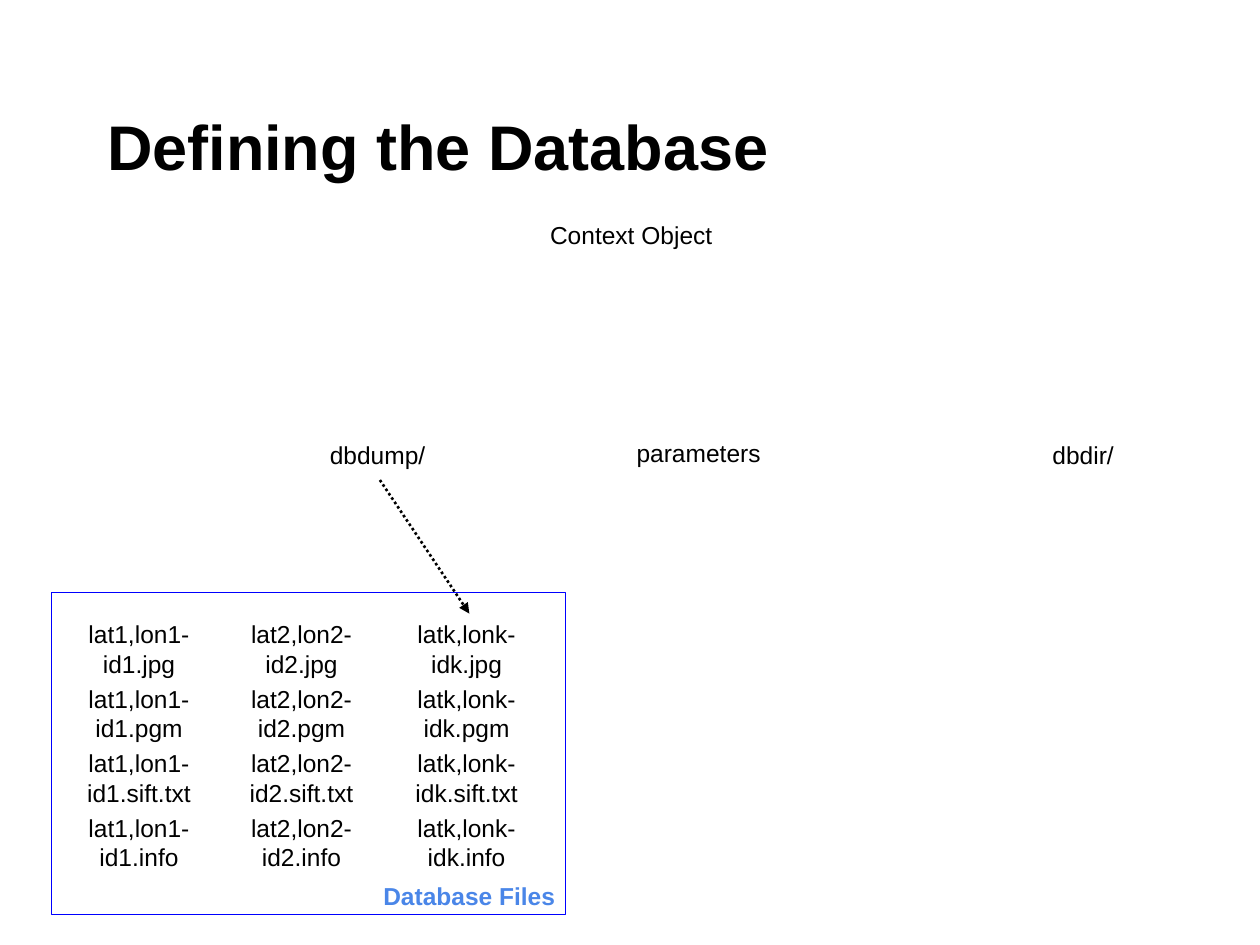
"""Build the slide that defines the database and its files."""
from typing import NamedTuple

from pptx import Presentation
from pptx.dml.color import RGBColor
from pptx.enum import dml, shapes, text
from pptx.oxml import ns, xmlchemy
from pptx.util import Pt

KIND = shapes.MSO_SHAPE
ALIGN = text.PP_ALIGN
ANCHOR = text.MSO_ANCHOR
INSET = 7.2
CARD_WIDTH, CARD_HEIGHT = 77.04, 36.9
CARD_TOP = 350.64
COLUMNS = {"lat1,lon1-id1": 42.48, "lat2,lon2-id2": 135.36, "latk,lonk-idk": 229.68}
ENDINGS = ("jpg", "pgm", "sift.txt", "info")


class Node(NamedTuple):
    label: str
    left: float
    top: float
    width: float
    height: float
    kind: KIND | None = KIND.SNIP_1_RECTANGLE
    color: str = "000000"
    bold: bool = False


def hex_color(value: str) -> RGBColor:
    """Turn a hex string into a colour."""
    return RGBColor.from_string(value)


def apply_format(target, values: dict) -> None:
    """Set each named attribute on the target."""
    for name, value in values.items():
        setattr(target, name, value)


def write_text(box, label: str, size: float, color: str, bold: bool,
               align: ALIGN, anchor: ANCHOR):
    """Write one formatted paragraph and return it."""
    frame = box.text_frame
    margins = {f"margin_{side}": Pt(INSET) for side in ("left", "top", "right", "bottom")}
    apply_format(frame, margins | {"word_wrap": True, "vertical_anchor": anchor,
                                   "auto_size": text.MSO_AUTO_SIZE.NONE})
    para = frame.paragraphs[0]
    para.alignment = align
    span = para.add_run()
    span.text = label
    apply_format(span.font, {"name": "Arial", "size": Pt(size), "bold": bold})
    span.font.color.rgb = hex_color(color)
    return para


def draw_node(page, node: Node):
    """Draw a centred label, with an unfilled outline shape if it has a kind."""
    place = [Pt(value) for value in node[1:5]]
    if node.kind is None:
        box = page.shapes.add_textbox(*place)
    else:
        box = page.shapes.add_shape(node.kind, *place)
        box.shadow.inherit = False
        box.fill.background()
        box.line.fill.background()
    if node.label:
        write_text(box, node.label, 14, node.color, node.bold, ALIGN.CENTER, ANCHOR.MIDDLE)
    return box


def draw_title(page, label: str) -> None:
    """Place and fill the title placeholder."""
    title = page.shapes.title
    apply_format(title, {"left": Pt(36), "top": Pt(21.6), "width": Pt(648), "height": Pt(90)})
    para = write_text(title, label, 36, "000000", True, ALIGN.LEFT, ANCHOR.BOTTOM)
    apply_format(para, {"line_spacing": 1.0, "space_before": Pt(0)})
    para._p.get_or_add_pPr().set("indent", str(Pt(18)))


def draw_arrow(page, start, end) -> None:
    """Join two shapes, bottom to top, with a dotted arrow."""
    arrow = page.shapes.add_connector(shapes.MSO_CONNECTOR.STRAIGHT, 0, 0, 0, 0)
    arrow.begin_connect(start, 2)
    arrow.end_connect(end, 0)
    apply_format(arrow.line, {"width": Pt(1.5), "dash_style": dml.MSO_LINE.ROUND_DOT})
    arrow.line.color.rgb = hex_color("000000")
    head = xmlchemy.OxmlElement("a:tailEnd")
    head.set("type", "triangle")
    arrow.line._get_or_add_ln().append(head)
    properties = arrow._element.find(ns.qn("p:spPr"))
    properties.append(xmlchemy.OxmlElement("a:effectLst"))


def main() -> None:
    """Create the deck with its single page."""
    deck = Presentation()
    apply_format(deck, {"slide_width": Pt(720), "slide_height": Pt(540)})
    page = deck.slides.add_slide(deck.slide_layouts[5])
    draw_title(page, "Defining the Database")

    cards = {}
    for stem, left in COLUMNS.items():
        for row, ending in enumerate(ENDINGS):
            name = f"{stem}.{ending}"
            top = CARD_TOP + row * CARD_HEIGHT
            cards[name] = draw_node(page, Node(name, left, top, CARD_WIDTH, CARD_HEIGHT))

    border = draw_node(page, Node("", 29.52, 338.4, 293.76, 184.32, KIND.RECTANGLE))
    border.line.color.rgb = hex_color("0000FF")
    border.line.width = Pt(0.75)

    dump = draw_node(page, Node("dbdump/", 159.12, 243.36, 115.92, 30.96))
    for node in (
        Node("Database Files", 195.12, 493.92, 146.16, 36, None, "4A86E8", True),
        Node("Context Object", 285.84, 111.6, 149.76, 45.36, None),
        Node("dbdir/", 562.32, 243.36, 115.92, 30.96),
        Node("parameters", 319.68, 243.36, 159.12, 30.96, KIND.FLOWCHART_DATA),
    ):
        draw_node(page, node)
    draw_arrow(page, dump, cards["latk,lonk-idk.jpg"])

    deck.save("out.pptx")


if __name__ == "__main__":
    main()
